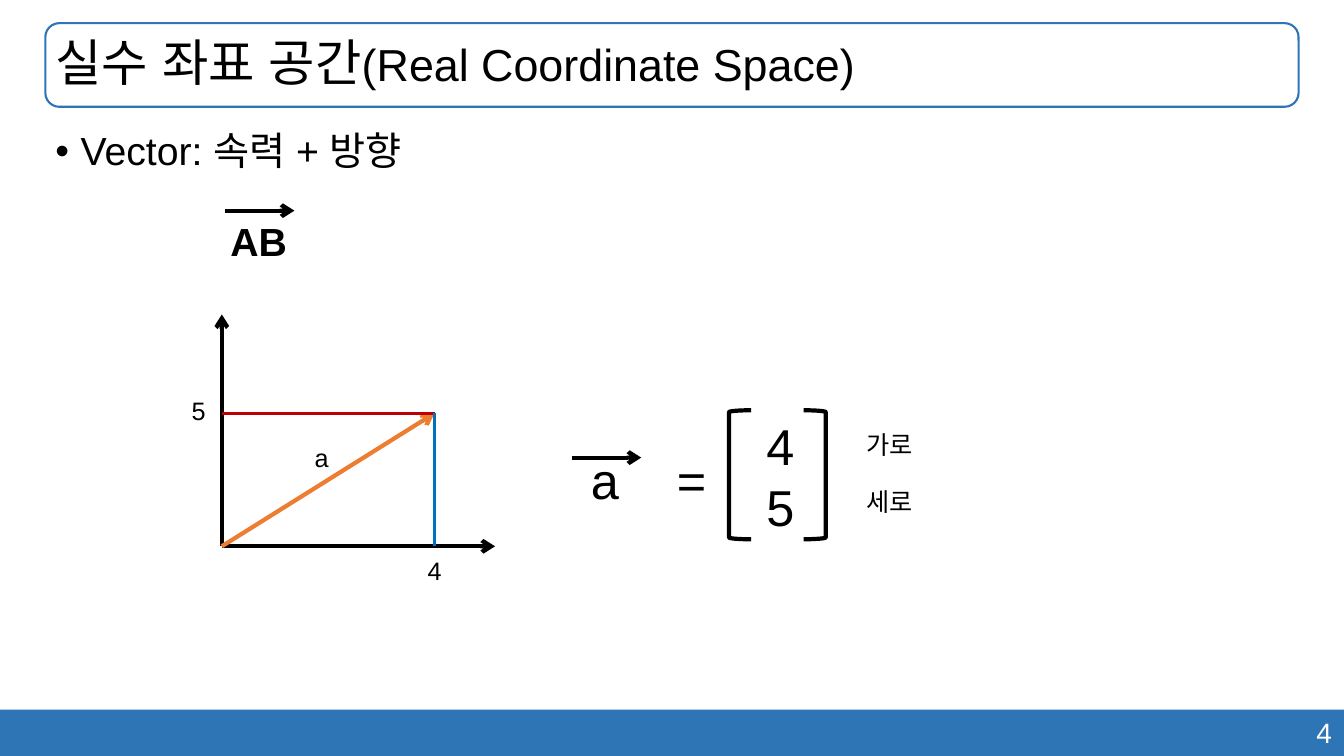
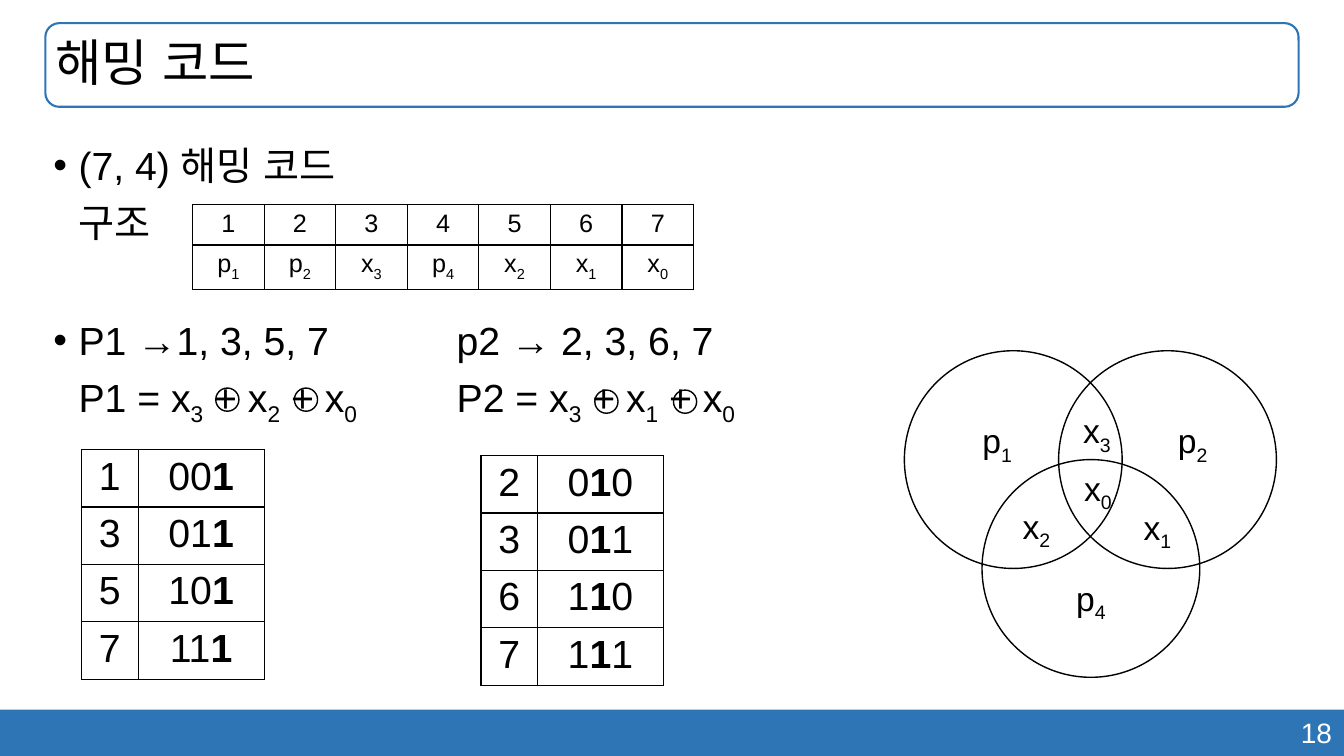
"""Builds two lecture slides: real coordinate space and the Hamming code."""
from dataclasses import dataclass

from lxml import etree
from pptx import Presentation
from pptx.dml.color import RGBColor
from pptx.enum.shapes import MSO_CONNECTOR as Connector, MSO_SHAPE as Preset
from pptx.enum.text import MSO_ANCHOR as Anchor, MSO_AUTO_SIZE as AutoSize, PP_ALIGN as Align
from pptx.oxml.ns import qn
from pptx.util import Inches, Pt


@dataclass(frozen=True)
class Theme:
    font: str = "Arial"
    ink: str = "000000"
    paper: str = "FFFFFF"
    band: str = "2E75B6"
    vector: str = "ED7D31"
    across: str = "C00000"
    upright: str = "0070C0"
    title: int = 36
    subtitle: int = 32
    body: int = 28
    region: int = 24
    page: int = 20
    small: int = 18
    thick: float = 3
    medium: float = 2.25
    frame: float = 1.5
    thin: float = 1


THEME = Theme()
WIDTH, HEIGHT = 13.33, 7.5
BAND_TOP = 7.04
TITLE_BOX = (0.45, 0.23, 12.43, 0.83)
BULLET_INDENT = 0.25
SECOND_COLUMN = 4.0

SPACE_TITLE = [("실수 좌표 공간", THEME.title), ("(Real Coordinate Space)", THEME.subtitle)]
SPACE_BODY = [(["Vector: 속력 + 방향"], 0)]
ORIGIN, TIP = (2.2, 5.42), (4.31, 4.1)
AXIS_TOP, AXIS_RIGHT = 3.12, 4.91
GRAPH_LINES = [
    (ORIGIN, (ORIGIN[0], AXIS_TOP), THEME.ink, THEME.thick, True),
    (ORIGIN, (AXIS_RIGHT, ORIGIN[1]), THEME.ink, THEME.thick, True),
    (ORIGIN, TIP, THEME.vector, THEME.thick, True),
    ((ORIGIN[0], TIP[1]), TIP, THEME.across, THEME.medium, False),
    (TIP, (TIP[0], ORIGIN[1]), THEME.upright, THEME.medium, False),
]
GRAPH_LABELS = [("5", 1.74, 3.87), ("4", 4.08, 5.46), ("a", 2.96, 4.34)]
COMPONENTS = [("가로", 4.21), ("세로", 4.78)]

CODE_TITLE = [("해밍 코드", THEME.title)]
CODE_BODY = [
    (["(7, 4) 해밍 코드", "구조"], 0),
    (["P1 →1, 3, 5, 7\tp2 → 2, 3, 6, 7", "P1 = x_3 + x_2 + x_0\tP2 = x_3 + x_1 + x_0"], 44),
]
STRUCTURE = [list("1234567"), ["p_1", "p_2", "x_3", "p_4", "x_2", "x_1", "x_0"]]
PARITY_CHECKS = [
    (0.81, 4.46, [("1", "00*1"), ("3", "01*1"), ("5", "10*1"), ("7", "11*1")]),
    (4.77, 4.52, [("2", "0*10"), ("3", "0*11"), ("6", "1*10"), ("7", "1*11")]),
]
XOR_RINGS, XOR_STEP, XOR_SIZE = [(2.14, 3.85), (5.9, 3.87)], 0.78, 0.23
VENN_CIRCLES, VENN_SIZE = [(9.74, 4.56), (10.5, 3.48), (8.97, 3.48)], 2.16
VENN_LABELS = [
    ("p_1", 9.64, 4.12), ("p_2", 11.58, 4.12), ("p_4", 10.57, 5.68),
    ("x_2", 10.03, 4.97), ("x_3", 10.63, 4.02), ("x_1", 11.23, 4.98), ("x_0", 10.64, 4.59),
]


def rgb(color):
    return RGBColor.from_string(color)


def box(*lengths):
    return [Inches(length) for length in lengths]


def write(paragraph, marked, size, color=THEME.ink, bold=False):
    """Adds runs; the character after _ is a subscript and after * is bold."""
    pieces = [["", ""]]
    marks = iter(marked)
    for char in marks:
        if char in "_*":
            pieces += [[char, next(marks)], ["", ""]]
        else:
            pieces[-1][1] += char
    for mark, text in pieces:
        if not text:
            continue
        run = paragraph.add_run()
        run.text = text
        run.font.name, run.font.size = THEME.font, Pt(size)
        run.font.bold = bold or mark == "*"
        run.font.color.rgb = rgb(color)
        properties = run._r.get_or_add_rPr()
        etree.SubElement(properties, qn("a:ea"), typeface=THEME.font)
        if mark == "_":
            properties.set("baseline", "-25000")


def break_line(paragraph, size):
    paragraph.add_line_break()
    etree.SubElement(paragraph._p[-1], qn("a:rPr"), sz=str(size * 100))


def place(placeholder, area):
    placeholder.left, placeholder.top, placeholder.width, placeholder.height = box(*area)
    placeholder.text_frame.auto_size = AutoSize.NONE
    placeholder.text_frame.word_wrap = True


def outline(parent, preset, area, color=THEME.ink, weight=THEME.thin):
    shape = parent.shapes.add_shape(preset, *box(*area))
    shape.shadow.inherit = False
    shape.fill.background()
    shape.line.color.rgb, shape.line.width = rgb(color), Pt(weight)
    return shape


def label(parent, lines, area, size, color=THEME.ink, bold=False, align=Align.CENTER, wrap=False):
    frame = parent.shapes.add_textbox(*box(*area)).text_frame
    frame.word_wrap = wrap
    for index, line in enumerate(lines):
        paragraph = frame.add_paragraph() if index else frame.paragraphs[0]
        paragraph.alignment = align
        write(paragraph, line, size, color, bold)


def stroke(parent, start, end, color=THEME.ink, weight=THEME.thick, arrow=True):
    line = parent.shapes.add_connector(Connector.STRAIGHT, *box(*start, *end))
    line.line.color.rgb, line.line.width = rgb(color), Pt(weight)
    if arrow:
        etree.SubElement(line.line._get_or_add_ln(), qn("a:tailEnd"), type="arrow")
    etree.SubElement(line._element.spPr, qn("a:effectLst"))


def grid(slide, left, top, columns, row_height, rows, size):
    table = slide.shapes.add_table(
        len(rows), len(columns), *box(left, top, sum(columns), row_height * len(rows))).table
    table.first_row = table.horz_banding = False
    for column, width in zip(table.columns, columns):
        column.width = Inches(width)
    for row, texts in zip(table.rows, rows):
        row.height = Inches(row_height)
        for cell, text in zip(row.cells, texts):
            paragraph = cell.text_frame.paragraphs[0]
            paragraph.alignment = Align.CENTER
            write(paragraph, text, size)
            properties = cell._tc.get_or_add_tcPr()
            for side in ("lnL", "lnR", "lnT", "lnB"):
                border = etree.SubElement(properties, qn(f"a:{side}"), w=str(Pt(THEME.thin)))
                fill = etree.SubElement(border, qn("a:solidFill"))
                etree.SubElement(fill, qn("a:srgbClr"), val=THEME.ink)
            cell.fill.background()


def format_bullet(paragraph):
    properties = paragraph._p.get_or_add_pPr()
    properties.set("marL", str(Inches(BULLET_INDENT)))
    properties.set("indent", str(Inches(-BULLET_INDENT)))
    etree.SubElement(properties, qn("a:buChar"), char="•")
    stops = etree.SubElement(properties, qn("a:tabLst"))
    etree.SubElement(stops, qn("a:tab"), pos=str(Inches(SECOND_COLUMN)), algn="l")


def start_slide(deck, title, body, body_left, spacing, number):
    slide = deck.slides.add_slide(deck.slide_layouts[1])
    band = outline(slide, Preset.RECTANGLE, (0, BAND_TOP, WIDTH, HEIGHT - BAND_TOP))
    band.fill.solid()
    band.fill.fore_color.rgb = rgb(THEME.band)
    band.line.fill.background()
    label(slide, [number], (9.41, 7.05, 3.9, 0.44), THEME.page, THEME.paper,
          align=Align.RIGHT, wrap=True)
    outline(slide, Preset.ROUNDED_RECTANGLE, TITLE_BOX, THEME.band, THEME.frame)

    heading, content = slide.placeholders
    place(heading, TITLE_BOX)
    heading.text_frame.vertical_anchor = Anchor.MIDDLE
    paragraph = heading.text_frame.paragraphs[0]
    paragraph.alignment, paragraph.line_spacing = Align.LEFT, 0.9
    for text, size in title:
        write(paragraph, text, size)

    place(content, (body_left, 1.26, 12.43, 5.53))
    frame = content.text_frame
    for index, (lines, before) in enumerate(body):
        paragraph = frame.add_paragraph() if index else frame.paragraphs[0]
        format_bullet(paragraph)
        paragraph.line_spacing, paragraph.space_before = spacing, Pt(before)
        for position, line in enumerate(lines):
            if position:
                break_line(paragraph, THEME.body)
            write(paragraph, line, THEME.body)
    return slide


def build_space(deck):
    slide = start_slide(deck, SPACE_TITLE, SPACE_BODY, 0.45, 0.9, "4")
    segment = slide.shapes.add_group_shape()
    stroke(segment, (2.23, 2.09), (2.92, 2.09))
    label(segment, ["AB"], (2.18, 2.11, 0.77, 0.57), THEME.body, bold=True)

    graph = slide.shapes.add_group_shape()
    for line in GRAPH_LINES:
        stroke(graph, *line)
    for text, left, top in GRAPH_LABELS:
        label(graph, [text], (left, top, 0.46, 0.4), THEME.small)

    vector = slide.shapes.add_group_shape()
    label(vector, ["a"], (5.66, 4.41, 0.68, 0.71), THEME.title)
    stroke(vector, (5.67, 4.54), (6.36, 4.54))
    label(slide, ["="], (6.52, 4.41, 0.68, 0.71), THEME.title)

    matrix = slide.shapes.add_group_shape()
    label(matrix, ["4", "5"], (7.4, 4.07, 0.68, 1.31), THEME.title)
    for bracket, left in ((Preset.LEFT_BRACKET, 7.23), (Preset.RIGHT_BRACKET, 7.97)):
        outline(matrix, bracket, (left, 4.07, 0.22, 1.28), weight=THEME.thick)
    for text, top in COMPONENTS:
        label(slide, [text], (8.31, top, 1.02, 0.4), THEME.small)


def build_code(deck):
    slide = start_slide(deck, CODE_TITLE, CODE_BODY, 0.43, 1.2, "18")
    grid(slide, 1.91, 2.03, [0.71] * 7, 0.3, STRUCTURE, THEME.small)

    venn = slide.shapes.add_group_shape()
    for left, top in VENN_CIRCLES:
        outline(venn, Preset.OVAL, (left, top, VENN_SIZE, VENN_SIZE))
    for text, left, top in VENN_LABELS:
        label(venn, [text], (left, top, 0.5, 0.5), THEME.region)

    for left, top in XOR_RINGS:
        for step in range(2):
            outline(slide, Preset.OVAL, (left + step * XOR_STEP, top, XOR_SIZE, XOR_SIZE))
    for left, top, rows in PARITY_CHECKS:
        grid(slide, left, top, [0.56, 1.25], 0.57, rows, THEME.body)


def main():
    deck = Presentation()
    deck.slide_width, deck.slide_height = box(WIDTH, HEIGHT)
    build_space(deck)
    build_code(deck)
    deck.save("out.pptx")


if __name__ == "__main__":
    main()
